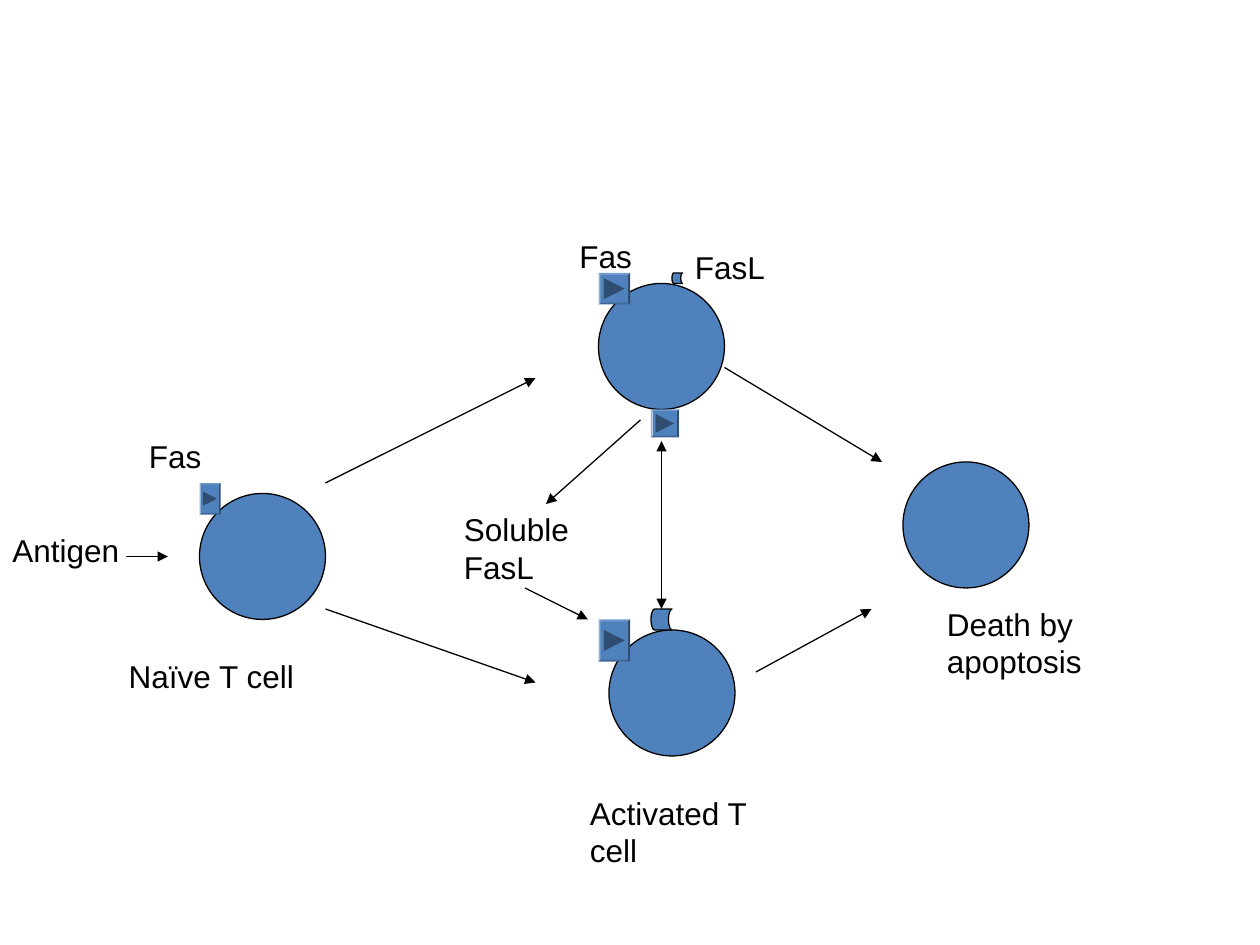
from lxml import etree
from pptx import Presentation
from pptx.dml.color import RGBColor
from pptx.enum.shapes import MSO_CONNECTOR, MSO_SHAPE as SHP
from pptx.enum.text import MSO_ANCHOR, PP_ALIGN
from pptx.oxml.ns import qn
from pptx.util import Pt

COLORS = {"cell": "4F81BD", "mark": "2F4D71", "ink": "000000"}


class Diagram:
    font, size, line_width, cell_size = "Arial", 18, 0.75, 72

    def __init__(self, slide):
        self.slide = slide

    def color(self, name):
        return RGBColor.from_string(COLORS[name])

    def paint(self, sp, fill, outlined):
        sp.shadow.inherit = False
        sp.fill.solid()
        sp.fill.fore_color.rgb = self.color(fill)
        if outlined:
            sp.line.color.rgb = self.color("ink")
            sp.line.width = Pt(self.line_width)
        else:
            sp.line.fill.background()

    def shape(self, kind, x, y, w, h, outlined=True):
        sp = self.slide.shapes.add_shape(kind, Pt(x), Pt(y), Pt(w), Pt(h))
        self.paint(sp, "cell", outlined)
        return sp

    def cell(self, x, y):
        self.shape(SHP.OVAL, x, y, self.cell_size, self.cell_size)

    def fas(self, x, y, w, h):
        """Bevelled plate with a centred triangle pointing right."""
        plate = self.shape(SHP.BEVEL, x, y, w, h, outlined=False)
        plate.adjustments[0] = 0.06
        half = min(w, h) / 3
        cx, cy = x + w / 2, y + h / 2
        fb = self.slide.shapes.build_freeform(Pt(cx - half), Pt(cy - half))
        fb.add_line_segments([(Pt(cx + half), Pt(cy)),
                              (Pt(cx - half), Pt(cy + half))])
        self.paint(fb.convert_to_shape(), "mark", False)

    def ligand(self, x, y, side):
        self.shape(SHP.FLOWCHART_STORED_DATA, x, y, side, side)

    def arrow(self, x1, y1, x2, y2, both=False):
        c = self.slide.shapes.add_connector(
            MSO_CONNECTOR.STRAIGHT, Pt(x1), Pt(y1), Pt(x2), Pt(y2))
        c.line.color.rgb = self.color("ink")
        c.line.width = Pt(self.line_width)
        ln = c.line._get_or_add_ln()
        for end in ("headEnd", "tailEnd") if both else ("tailEnd",):
            etree.SubElement(ln, qn(f"a:{end}"), type="triangle")
        etree.SubElement(c._element.spPr, qn("a:effectLst"))

    def label(self, text, x, y, w, h=28.8, wrap=False):
        tb = self.slide.shapes.add_textbox(Pt(x), Pt(y), Pt(w), Pt(h))
        tf = tb.text_frame
        tf.word_wrap = wrap
        tf.vertical_anchor = MSO_ANCHOR.TOP
        tf.text = text
        p = tf.paragraphs[0]
        p.alignment = PP_ALIGN.LEFT
        r = p.runs[0]
        r.font.name, r.font.size = self.font, Pt(self.size)
        r.font.color.rgb = self.color("ink")


def main():
    prs = Presentation()
    prs.slide_width, prs.slide_height = Pt(720), Pt(540)
    d = Diagram(prs.slides.add_slide(prs.slide_layouts[6]))

    # Cells: naive, two activated, dying
    for x, y in [(114, 282), (342, 162), (348, 360), (516, 264)]:
        d.cell(x, y)

    # Fas receptors
    for box in [(114, 276, 12, 18), (372, 234, 16, 16),
                (342, 354, 18, 24), (342, 156, 18, 18)]:
        d.fas(*box)

    # Fas ligands
    d.ligand(384, 156, 6)
    d.ligand(372, 348, 12)

    # Pathway arrows
    for ends in [(72, 318, 96, 318), (186, 348, 306, 390),
                 (186, 276, 306, 216), (432, 384, 498, 348),
                 (414, 210, 504, 264), (366, 240, 312, 288),
                 (300, 336, 336, 354)]:
        d.arrow(*ends)
    d.arrow(378, 252, 378, 348, both=True)

    # One-line labels
    for text, x, y, w in [("Antigen", 0, 300, 77),
                          ("Naïve T cell", 66.5, 372, 111),
                          ("Fas", 78, 246, 47),
                          ("Fas", 324, 132, 47),
                          ("FasL", 390, 138, 57)]:
        d.label(text, x, y, w)

    # Wrapped labels
    for text, x, y, w in [("Activated T cell", 330, 450, 108),
                          ("Death by apoptosis", 534, 342, 120),
                          ("Soluble FasL", 258, 288, 78)]:
        d.label(text, x, y, w, h=50.4, wrap=True)

    prs.save("out.pptx")


if __name__ == "__main__":
    main()
